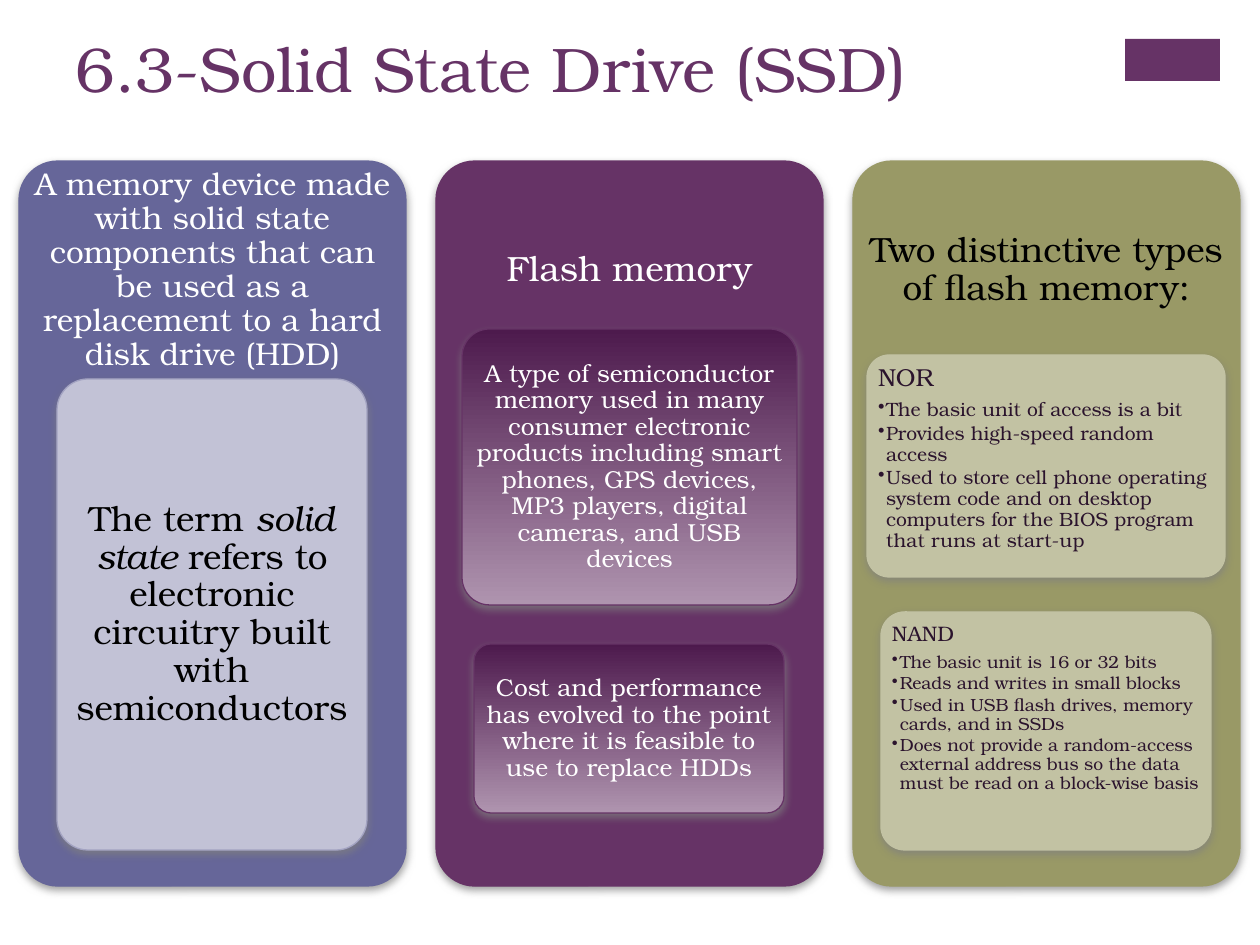
from dataclasses import dataclass

from lxml.etree import SubElement
from pptx import Presentation
from pptx.dml.color import RGBColor
from pptx.enum.shapes import MSO_SHAPE
from pptx.enum.text import MSO_ANCHOR, PP_ALIGN
from pptx.oxml.ns import qn
from pptx.util import Emu, Pt

RECT = MSO_SHAPE.RECTANGLE
ROUNDED = MSO_SHAPE.ROUNDED_RECTANGLE
TOP, MIDDLE = MSO_ANCHOR.TOP, MSO_ANCHOR.MIDDLE
LEFT, CENTER = PP_ALIGN.LEFT, PP_ALIGN.CENTER

EMU_PER_PX = 914400 / 126
FONT = "TeX Gyre Bonum"
CORNER = 0.1
CORNER_INSET = 0.29
COLUMN_LEFT, COLUMN_TOP = 19, 161
COLUMN_WIDTH, COLUMN_HEIGHT = 387, 725
COLUMN_PITCH = 417
HEADER_HEIGHT = 218
BULLET_INDENT = 8

COLORS = {
    "plum": "663366",
    "plum_dark": "4D1A4D",
    "plum_light": "AF94AF",
    "blue": "666699",
    "blue_light": "C2C2D6",
    "blue_line": "A3A3C2",
    "olive": "999966",
    "olive_light": "C2C2A3",
    "ink": "2B142D",
    "black": "000000",
    "white": "FFFFFF",
    "shadow": "808080",
}


@dataclass
class Box:
    left: int
    top: int
    width: int
    height: int


@dataclass
class Style:
    size: int
    color: str
    insets: tuple[int, int]
    align: int = CENTER
    anchor: int = MIDDLE
    bullet_size: int = 0


@dataclass
class Card:
    top: int
    width: int
    height: int
    fills: tuple[str, ...]
    line: str
    style: Style
    lines: tuple[str, ...]


@dataclass
class Column:
    color: str
    header: str
    style: Style
    cards: tuple[Card, ...]


PLUM_FILLS = ("plum_dark", "plum_light")
PLUM_TEXT = Style(14, "white", (5, 4))

COLUMNS = (
    Column(
        "blue",
        "A memory device made with solid state components that can be used "
        "as a replacement to a hard disk drive (HDD)",
        Style(18, "white", (9, 9)),
        (
            Card(379, 310, 471, ("blue_light",), "blue_line", Style(20, "black", (8, 5)),
                 ("The term |solid state |refers to electronic circuitry built with semiconductors",)),
        ),
    ),
    Column(
        "plum",
        "Flash memory",
        Style(20, "white", (10, 10)),
        (
            Card(329, 335, 276, PLUM_FILLS, "plum", PLUM_TEXT,
                 ("A type of semiconductor memory used in many consumer electronic products "
                  "including smart phones, GPS devices, MP3 players, digital cameras, "
                  "and USB devices",)),
            Card(644, 310, 169, PLUM_FILLS, "plum", PLUM_TEXT,
                 ("Cost and performance has evolved to the point where it is feasible "
                  "to use to replace HDDs",)),
        ),
    ),
    Column(
        "olive",
        "Two distinctive types of flash memory:",
        Style(20, "black", (10, 10)),
        (
            Card(355, 358, 222, ("olive_light",), "olive_light",
                 Style(14, "ink", (5, 4), LEFT, TOP, 11),
                 ("NOR",
                  "The basic unit of access is a bit",
                  "Provides high-speed random access",
                  "Used to store cell phone operating system code and on desktop "
                  "computers for the BIOS program that runs at start-up")),
            Card(612, 330, 238, ("olive_light",), "olive_light",
                 Style(12, "ink", (4, 4), LEFT, TOP, 10),
                 ("NAND",
                  "The basic unit is 16 or 32 bits",
                  "Reads and writes in small blocks",
                  "Used in USB flash drives, memory cards, and in SSDs",
                  "Does not provide a random-access external address bus so the data "
                  "must be read on a block-wise basis")),
        ),
    ),
)


def px(length: float) -> Emu:
    return Emu(round(length * EMU_PER_PX))


def rgb(name: str) -> RGBColor:
    return RGBColor.from_string(COLORS[name])


def frame(box: Box) -> tuple[Emu, ...]:
    return px(box.left), px(box.top), px(box.width), px(box.height)


def add_shadow(shape) -> None:
    effects = shape._element.spPr.find(qn("a:effectLst"))
    outer = SubElement(effects, qn("a:outerShdw"), blurRad=str(Pt(5)),
                       dist=str(Pt(2)), dir="5400000", rotWithShape="0")
    color = SubElement(outer, qn("a:srgbClr"), val=COLORS["shadow"])
    SubElement(color, qn("a:alpha"), val="75000")


def draw_panel(page, box: Box, fills: tuple[str, ...], line: str) -> None:
    panel = page.shapes.add_shape(ROUNDED, *frame(box))
    panel.adjustments[0] = CORNER
    if len(fills) > 1:
        panel.fill.gradient()
        panel.fill.gradient_angle = 270
        for position, (stop, name) in enumerate(zip(panel.fill.gradient_stops, fills)):
            stop.position = position
            stop.color.rgb = rgb(name)
    else:
        panel.fill.solid()
        panel.fill.fore_color.rgb = rgb(fills[0])
    panel.line.color.rgb = rgb(line)
    panel.line.width = Pt(0.75)
    panel.shadow.inherit = False
    add_shadow(panel)


def draw_text(page, box: Box, style: Style, lines: tuple[str, ...]) -> None:
    text_frame = page.shapes.add_textbox(*frame(box)).text_frame
    text_frame.word_wrap = True
    text_frame.vertical_anchor = style.anchor
    text_frame.margin_left = text_frame.margin_right = px(style.insets[0])
    text_frame.margin_top = text_frame.margin_bottom = px(style.insets[1])
    for index, line in enumerate(lines):
        para = text_frame.add_paragraph() if index else text_frame.paragraphs[0]
        size = style.bullet_size if index else style.size
        para.alignment = style.align
        para.line_spacing = 0.9
        para.space_after = Pt(round(size * (0.15 if index else 0.35), 1))
        if index:
            para.level = 1
            properties = para._p.get_or_add_pPr()
            properties.set("marL", str(px(BULLET_INDENT)))
            properties.set("indent", str(-px(BULLET_INDENT)))
            SubElement(properties, qn("a:buChar"), char="•")
        for order, words in enumerate(line.split("|")):
            span = para.add_run()
            span.text = words
            span.font.name = FONT
            span.font.size = Pt(size)
            span.font.italic = order % 2 == 1
            span.font.color.rgb = rgb(style.color)


def draw_card(page, column_left: int, card: Card) -> None:
    left = column_left + (COLUMN_WIDTH - card.width) // 2
    draw_panel(page, Box(left, card.top, card.width, card.height), card.fills, card.line)
    pad = round(min(card.width, card.height) * CORNER * CORNER_INSET)
    inner = Box(left + pad, card.top + pad, card.width - 2 * pad, card.height - 2 * pad)
    draw_text(page, inner, card.style, card.lines)


def draw_column(page, left: int, column: Column) -> None:
    draw_panel(page, Box(left, COLUMN_TOP, COLUMN_WIDTH, COLUMN_HEIGHT),
               (column.color,), column.color)
    draw_text(page, Box(left, COLUMN_TOP, COLUMN_WIDTH, HEADER_HEIGHT),
              column.style, (column.header,))
    for card in column.cards:
        draw_card(page, left, card)


def main() -> None:
    deck = Presentation()
    deck.slide_width, deck.slide_height = px(1260), px(945)
    page = deck.slides.add_slide(deck.slide_layouts[6])
    accent = page.shapes.add_shape(RECT, *frame(Box(1125, 39, 95, 42)))
    accent.fill.solid()
    accent.fill.fore_color.rgb = rgb("plum")
    accent.line.fill.background()
    accent.shadow.inherit = False
    draw_text(page, Box(63, 32, 1041, 122), Style(36, "plum", (13, 6), LEFT, TOP),
              ("6.3-Solid State Drive (SSD)",))
    for index, column in enumerate(COLUMNS):
        draw_column(page, COLUMN_LEFT + index * COLUMN_PITCH, column)
    deck.save("out.pptx")


if __name__ == "__main__":
    main()
